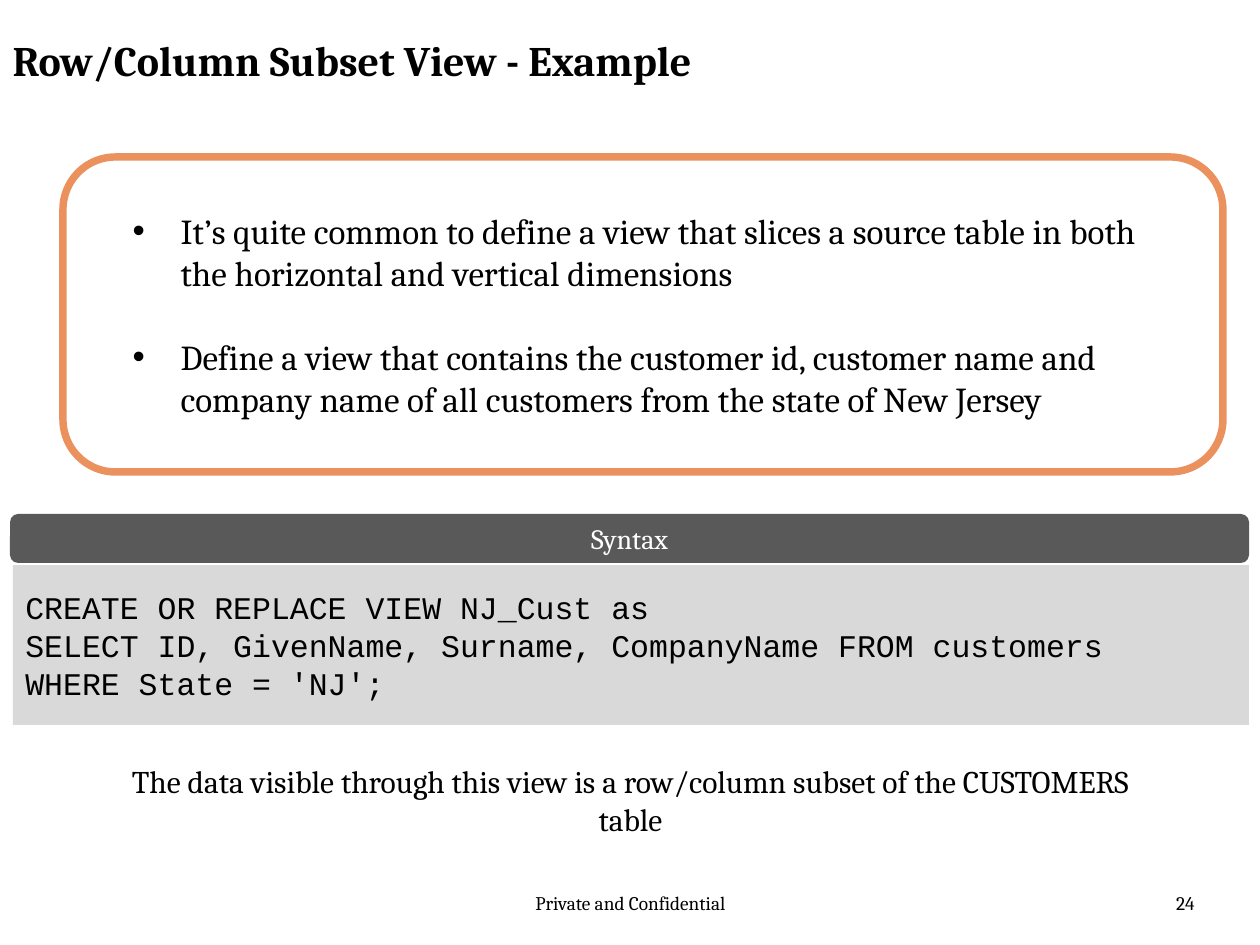
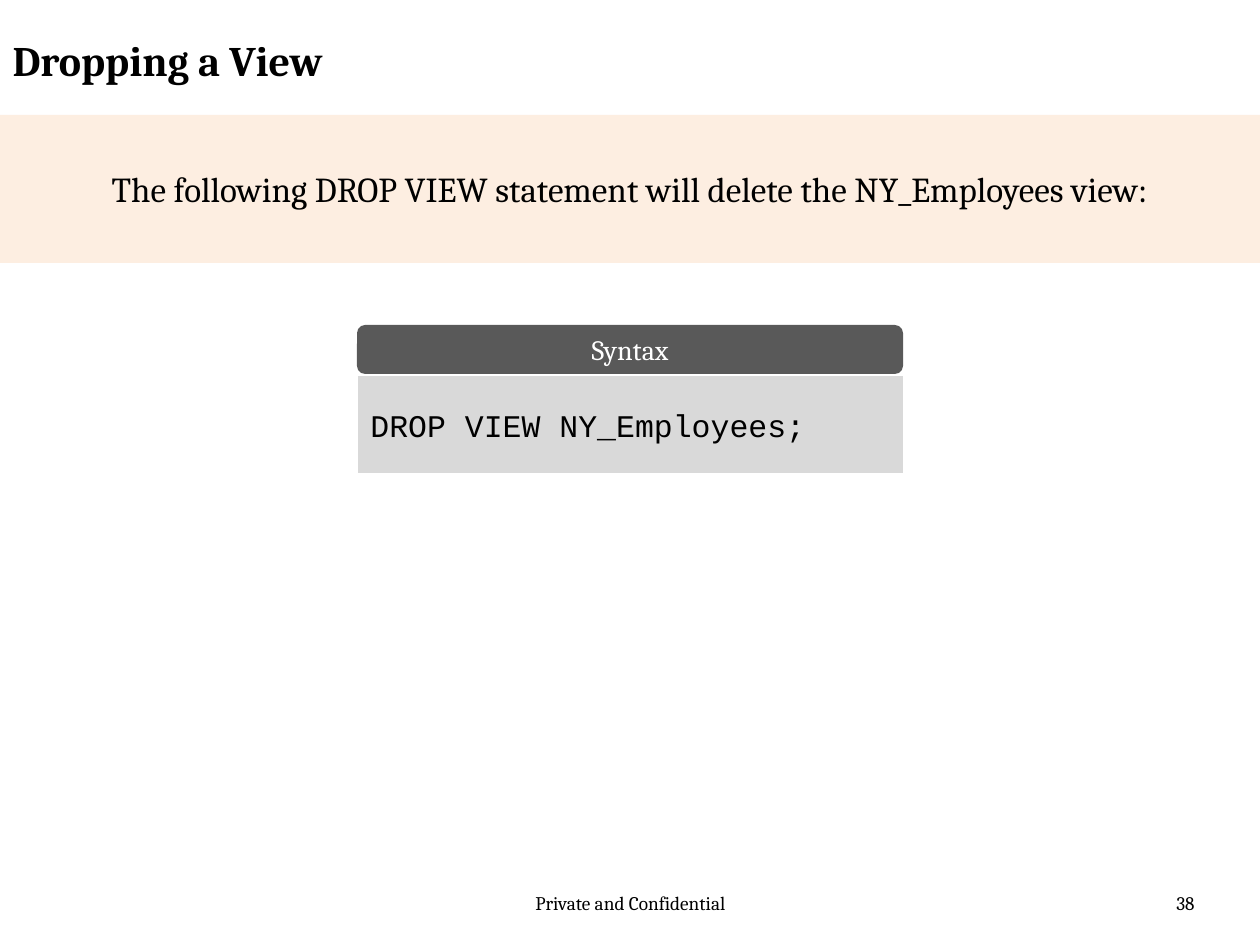
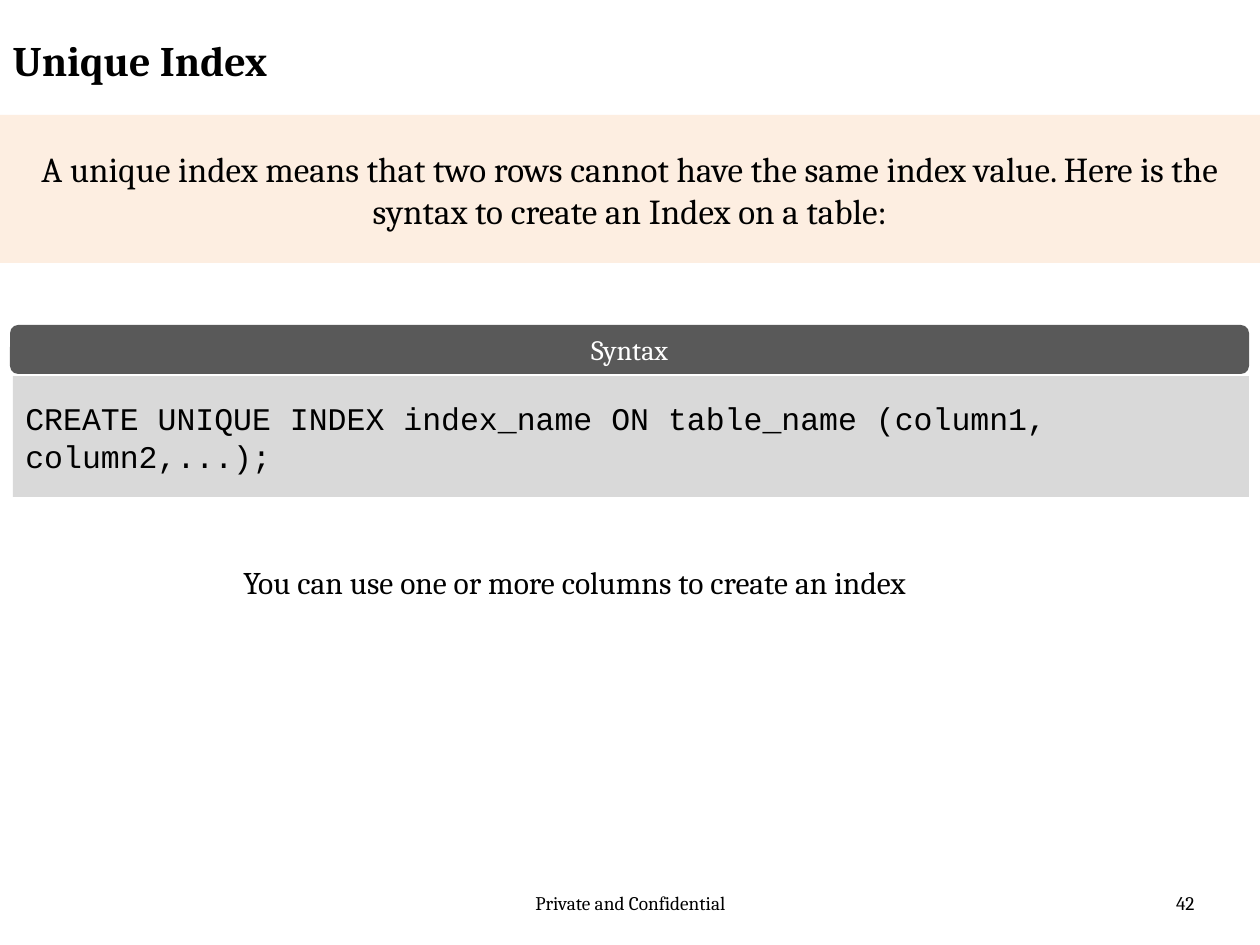
from lxml import etree
from pptx import Presentation
from pptx.dml.color import RGBColor
from pptx.enum.shapes import MSO_SHAPE
from pptx.enum.text import MSO_ANCHOR, MSO_AUTO_SIZE, PP_ALIGN
from pptx.oxml.ns import qn
from pptx.util import Emu, Pt

RECTANGLE = MSO_SHAPE.RECTANGLE
ROUNDED = MSO_SHAPE.ROUNDED_RECTANGLE
LEFT, CENTER, RIGHT = PP_ALIGN.LEFT, PP_ALIGN.CENTER, PP_ALIGN.RIGHT
TOP, MIDDLE = MSO_ANCHOR.TOP, MSO_ANCHOR.MIDDLE
NO_AUTO_SIZE = MSO_AUTO_SIZE.NONE

PX_PER_INCH = 126
SLIDE_WIDTH, SLIDE_HEIGHT = 1260, 945
TITLE_AND_BODY, TITLE_ONLY = 1, 5
BODY_FONT, CODE_FONT = "Cambria", "Courier New"
COLORS = {
    "text": "000000",
    "frame": "EA915D",
    "band": "FDEADA",
    "syntax_bar": "595959",
    "syntax_text": "FFFFFF",
    "code_panel": "D9D9D9",
}


def px(length):
    return Emu(round(length * 914400 / PX_PER_INCH))


def color(name):
    return RGBColor.from_string(COLORS[name])


def place(shape, left, top, width, height):
    shape.left, shape.top = px(left), px(top)
    shape.width, shape.height = px(width), px(height)


def write(shape, lines, size, align=LEFT, anchor=TOP, font=BODY_FONT,
          text_color="text", bold=False, gap=0):
    """Fill a shape with one paragraph per line, gap points apart."""
    frame = shape.text_frame
    frame.word_wrap = True
    frame.auto_size = NO_AUTO_SIZE
    frame.vertical_anchor = anchor
    frame.text = "\n".join(lines)
    for index, paragraph in enumerate(frame.paragraphs):
        paragraph.alignment = align
        paragraph.space_before = Pt(gap if index else 0)
        for run in paragraph.runs:
            run.font.name = font
            run.font.size = Pt(size)
            run.font.bold = bold
            run.font.color.rgb = color(text_color)


def add_text(slide, box, text, size, align=LEFT):
    text_box = slide.shapes.add_textbox(*map(px, box))
    write(text_box, [text], size, align)


def add_panel(slide, kind, box, fill):
    panel = slide.shapes.add_shape(kind, *map(px, box))
    panel.shadow.inherit = False
    panel.line.fill.background()
    panel.fill.solid()
    panel.fill.fore_color.rgb = color(fill)
    return panel


def add_slide(presentation, layout, title, number):
    """Add a slide with its title and footer."""
    slide = presentation.slides.add_slide(presentation.slide_layouts[layout])
    place(slide.shapes.title, 0, 28, 956, 78)
    write(slide.shapes.title, [title], 24, bold=True)
    add_text(slide, (431, 885, 399, 50), "Private and Confidential", 11, CENTER)
    add_text(slide, (914, 885, 293, 50), str(number), 11, RIGHT)
    return slide


def add_frame(slide, box):
    frame = slide.shapes.add_shape(ROUNDED, *map(px, box))
    frame.shadow.inherit = False
    frame.fill.background()
    frame.line.color.rgb = color("frame")
    frame.line.width = Pt(4.25)


def fill_bullets(body, box, items):
    place(body, *box)
    write(body, items, 20, gap=24)
    for paragraph in body.text_frame.paragraphs:
        properties = paragraph._p.get_or_add_pPr()
        properties.set("marL", str(px(48)))
        properties.set("indent", str(px(-48)))
        etree.SubElement(properties, qn("a:buFont"), typeface="Arial")
        etree.SubElement(properties, qn("a:buChar"), char="•")


def add_band(slide, text):
    band = add_panel(slide, RECTANGLE, (0, 115, SLIDE_WIDTH, 148), "band")
    fill_color = band._element.spPr.find(qn("a:solidFill"))[0]
    etree.SubElement(fill_color, qn("a:alpha"), val="79000")
    write(band, [text], 20, CENTER, MIDDLE)


def add_syntax(slide, left, top, width, code_height, code_indent, code):
    """Add a Syntax bar with the code panel below it."""
    bar = add_panel(slide, ROUNDED, (left, top, width, 49), "syntax_bar")
    write(bar, ["Syntax"], 16, CENTER, MIDDLE, text_color="syntax_text")
    code_box = (left + code_indent, top + 51, width - code_indent, code_height)
    panel = add_panel(slide, RECTANGLE, code_box, "code_panel")
    write(panel, code, 18, anchor=MIDDLE, font=CODE_FONT)


def build_subset_view(presentation):
    slide = add_slide(presentation, TITLE_AND_BODY,
                      "Row/Column Subset View - Example", 24)
    add_frame(slide, (63, 157, 1160, 315))
    fill_bullets(slide.placeholders[1], (120, 203, 1047, 224), [
        "It’s quite common to define a view that slices a source table in both "
        "the horizontal and vertical dimensions",
        "Define a view that contains the customer id, customer name and "
        "company name of all customers from the state of New Jersey",
    ])
    add_syntax(slide, 10, 514, 1239, 160, 3, [
        "CREATE OR REPLACE VIEW NJ_Cust as",
        "SELECT ID, GivenName, Surname, CompanyName FROM customers",
        "WHERE State = 'NJ';",
    ])
    add_text(slide, (116, 756, 1029, 89),
             "The data visible through this view is a row/column subset "
             "of the CUSTOMERS table", 18, CENTER)


def build_drop_view(presentation):
    slide = add_slide(presentation, TITLE_ONLY, "Dropping a View", 38)
    add_band(slide, "The following DROP VIEW statement will delete "
                    "the NY_Employees view:")
    add_syntax(slide, 357, 325, 546, 97, 1, ["DROP VIEW NY_Employees;"])


def build_unique_index(presentation):
    slide = add_slide(presentation, TITLE_ONLY, "Unique Index", 42)
    add_band(slide, "A unique index means that two rows cannot have the same "
                    "index value. Here is the syntax to create an Index on a table:")
    add_syntax(slide, 10, 325, 1239, 121, 3, [
        "CREATE UNIQUE INDEX index_name ON table_name (column1, column2,...);",
    ])
    add_text(slide, (231, 557, 798, 50),
             "You can use one or more columns to create an index", 18)


def main():
    presentation = Presentation()
    presentation.slide_width = px(SLIDE_WIDTH)
    presentation.slide_height = px(SLIDE_HEIGHT)
    build_subset_view(presentation)
    build_drop_view(presentation)
    build_unique_index(presentation)
    presentation.save("out.pptx")


if __name__ == "__main__":
    main()
